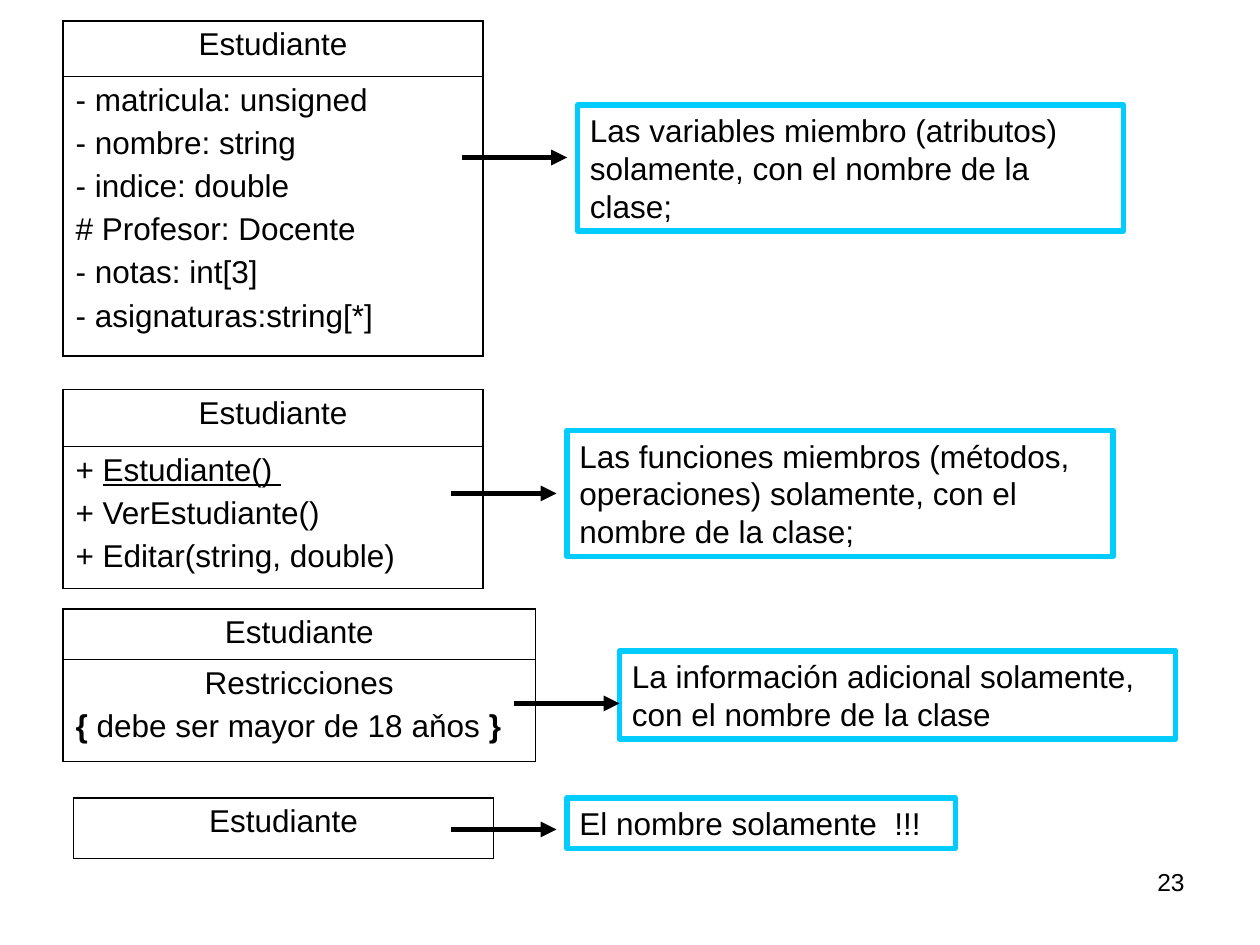
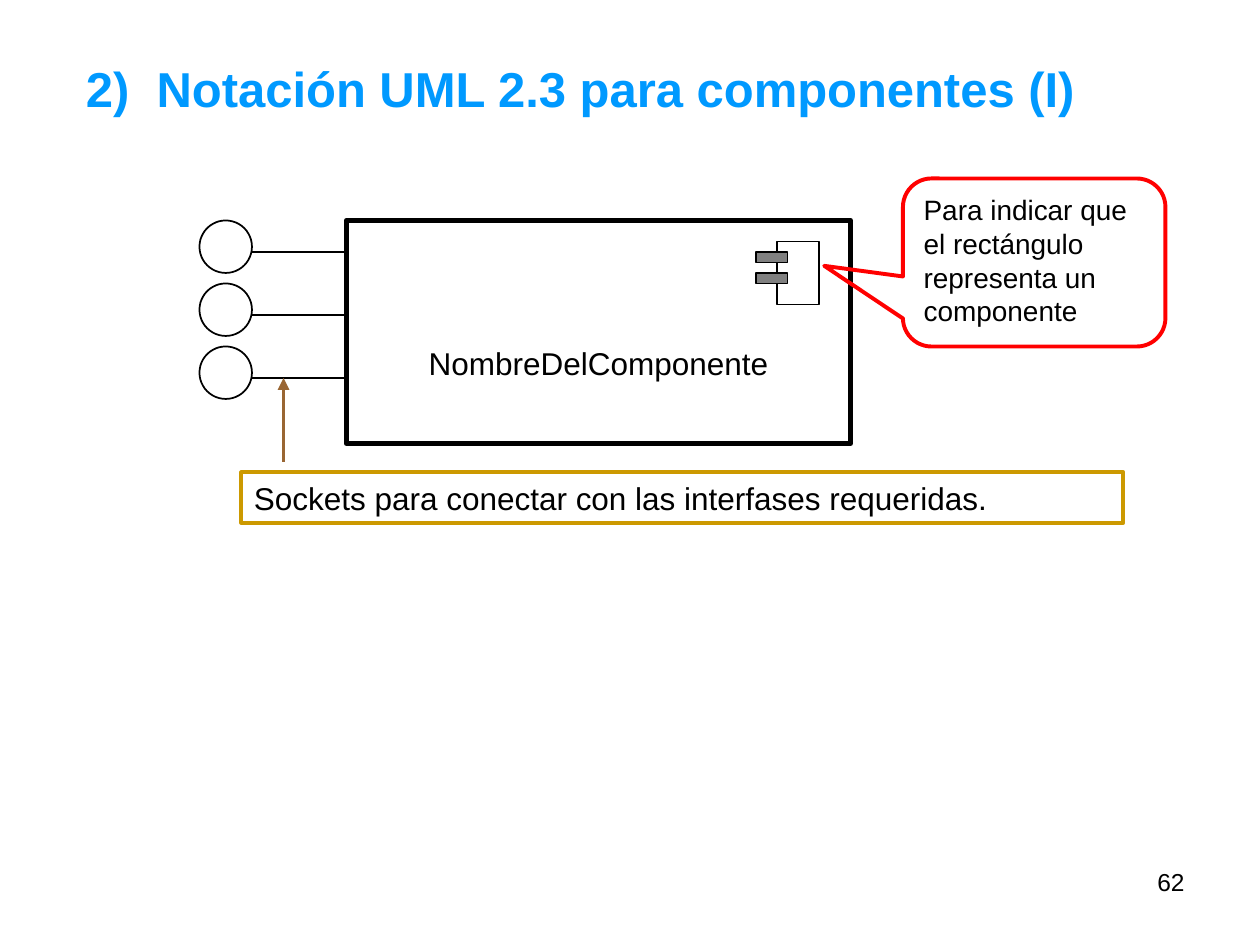
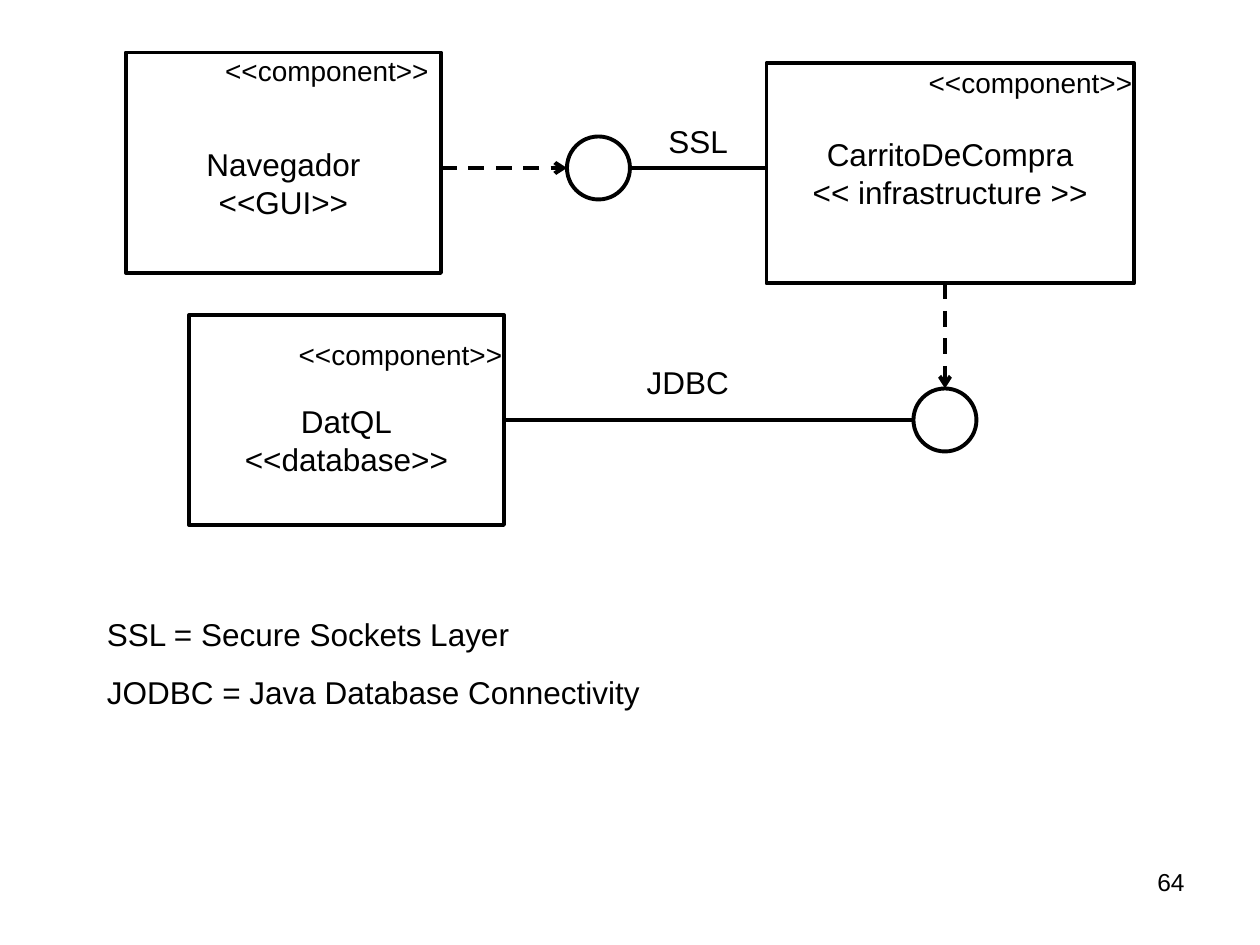
from lxml import etree
from pptx import Presentation
from pptx.dml.color import RGBColor
from pptx.enum.dml import MSO_LINE
from pptx.enum.shapes import MSO_CONNECTOR, MSO_SHAPE
from pptx.enum.text import MSO_ANCHOR, PP_ALIGN
from pptx.oxml.ns import qn
from pptx.util import Inches, Pt

BLACK = RGBColor(0x00, 0x00, 0x00)
GRAY = RGBColor(0x80, 0x80, 0x80)
BLUE = RGBColor(0x00, 0x99, 0xFF)
CYAN = RGBColor(0x00, 0xCC, 0xFF)
RED = RGBColor(0xFF, 0x00, 0x00)
BROWN = RGBColor(0x99, 0x66, 0x33)
GOLD = RGBColor(0xCC, 0x99, 0x00)

LEFT, MID, RIGHT = PP_ALIGN.LEFT, PP_ALIGN.CENTER, PP_ALIGN.RIGHT
TOP, MIDDLE = MSO_ANCHOR.TOP, MSO_ANCHOR.MIDDLE
RECT, OVAL = MSO_SHAPE.RECTANGLE, MSO_SHAPE.OVAL
BUBBLE = MSO_SHAPE.ROUNDED_RECTANGULAR_CALLOUT
STRAIGHT, DASH = MSO_CONNECTOR.STRAIGHT, MSO_LINE.DASH

FONT = "Arial"
COLS, ROWS = 120, 90
THICK, BOLD, THIN, HAIR = 3, 2.24, 0.99, 0.74
EDGE, RULE = 1.08, 0.45


class Deck:
    def __init__(self):
        self.show = Presentation()
        self.show.slide_width = Inches(10)
        self.show.slide_height = Inches(7.5)
        self.slide = None

    def x(self, cols):
        return round(self.show.slide_width * cols / COLS)

    def y(self, rows):
        return round(self.show.slide_height * rows / ROWS)

    def place(self, left, top, width, height):
        return self.x(left), self.y(top), self.x(width), self.y(height)

    def page(self, number):
        self.slide = self.show.slides.add_slide(self.show.slide_layouts[6])
        self.text((86, 82, 28, 6.24), [str(number)], 14, align=RIGHT)

    def put(self, frame, lines, size=18, color=BLACK, bold=None,
            align=LEFT, gap=0):
        for i, line in enumerate(lines):
            para = frame.add_paragraph() if i else frame.paragraphs[0]
            para.alignment = align
            para.space_before = Pt(gap)
            para.font.name = FONT
            para.font.size = Pt(size)
            para.font.color.rgb = color
            para.font.bold = bold
            parts = [(line, "")] if isinstance(line, str) else line
            for words, mark in parts:
                run = para.add_run()
                run.text = words
                if mark == "u":
                    run.font.underline = True
                if mark == "b":
                    run.font.bold = True

    def text(self, area, lines, size=18, **style):
        frame = self.slide.shapes.add_textbox(*self.place(*area)).text_frame
        frame.word_wrap = True
        self.put(frame, lines, size, **style)

    def shape(self, kind, area, width, color=BLACK, fill=None):
        item = self.slide.shapes.add_shape(kind, *self.place(*area))
        item.shadow.inherit = False
        if fill is None:
            item.fill.background()
        else:
            item.fill.solid()
            item.fill.fore_color.rgb = fill
        item.line.color.rgb = color
        item.line.width = Pt(width)
        return item

    def box(self, area, lines, width, color=BLACK, kind=RECT, size=18,
            align=LEFT, anchor=TOP, lead=0.6, wrap=True):
        item = self.shape(kind, area, width, color)
        frame = item.text_frame
        frame.word_wrap = wrap
        frame.vertical_anchor = anchor
        frame.margin_top = self.y(lead)
        self.put(frame, lines, size, align=align)
        return item

    def line(self, start, end, width, color=BLACK, head=None, dash=None):
        item = self.slide.shapes.add_connector(
            STRAIGHT, self.x(start[0]), self.y(start[1]),
            self.x(end[0]), self.y(end[1]))
        item.line.color.rgb = color
        item.line.width = Pt(width)
        if dash:
            item.line.dash_style = dash
        if head:
            stroke = item.line._get_or_add_ln()
            etree.SubElement(stroke, qn("a:tailEnd"), type=head)
        etree.SubElement(item._element.spPr, qn("a:effectLst"))

    def frame(self, cell, first, last):
        sides = {"L": EDGE, "R": EDGE, "T": EDGE if first else RULE,
                 "B": EDGE if last else RULE}
        props = cell._tc.get_or_add_tcPr()
        for side, width in sides.items():
            edge = etree.SubElement(props, qn("a:ln" + side),
                                    w=str(int(Pt(width))))
            paint = etree.SubElement(edge, qn("a:solidFill"))
            etree.SubElement(paint, qn("a:srgbClr"), val=str(BLACK))

    def table(self, left, top, width, cells):
        total = sum(height for height, _ in cells)
        grid = self.slide.shapes.add_table(
            len(cells), 1, *self.place(left, top, width, total)).table
        grid.first_row = grid.horz_banding = False
        for i, (height, lines) in enumerate(cells):
            grid.rows[i].height = self.y(height)
            cell = grid.cell(i, 0)
            self.frame(cell, i == 0, i == len(cells) - 1)
            cell.fill.background()
            cell.margin_left = cell.margin_right = Inches(0.1)
            cell.margin_top = cell.margin_bottom = Inches(0.05)
            self.put(cell.text_frame, lines, gap=4.5,
                     align=LEFT if i else MID)
        return grid


deck = Deck()

deck.page(23)
NAME = ["Estudiante"]
deck.table(6, 2, 40, [(5.28, NAME), (26.64, [
    "- matricula: unsigned", "- nombre: string", "- indice: double",
    "# Profesor: Docente", "- notas: int[3]", "- asignaturas:string[*]"])])
deck.table(6, 37.1, 40, [(5.4, NAME), (13.56, [
    [("+ ", ""), ("Estudiante() ", "u")],
    "+ VerEstudiante()", "+ Editar(string, double)"])])
limits = deck.table(6, 58, 45, [(4.8, NAME), (9.72, [
    "Restricciones",
    [("{", "b"), (" debe ser mayor de 18 aňos ", ""), ("}", "b")]])])
limits.cell(1, 0).text_frame.paragraphs[0].alignment = MID
deck.table(7, 76, 40, [(5.76, NAME)])

NOTES = [
    ((55, 10, 52, 12), (44, 15), "Las variables miembro (atributos) "
     "solamente, con el nombre de la clase;"),
    ((54, 41, 52, 12), (43, 47), "Las funciones miembros (métodos, "
     "operaciones) solamente, con el nombre de la clase;"),
    ((59, 62, 53, 8.4), (49, 67), "La información adicional solamente, "
     "con el nombre de la clase"),
    ((54, 76, 37, 4.8), (43, 79), "El nombre solamente  !!!"),
]
for area, (col, row), words in NOTES:
    deck.box(area, [words], THICK, CYAN)
    deck.line((col, row), (col + 10, row), THICK, head="triangle")

deck.page(62)
deck.text((7, 5, 105, 6.84), ["2)  Notación UML 2.3 para componentes (I)"],
          28, color=BLUE, bold=True)
deck.box((33, 21, 48, 21.24), ["NombreDelComponente"], THICK,
         align=MID, lead=11.8)
for i in range(3):
    deck.line((33, 24 + 6 * i), (24, 24 + 6 * i), HAIR)
    deck.shape(OVAL, (19, 21 + 6 * i, 5, 5), THIN)
deck.line((27, 44), (27, 36), BOLD, BROWN, "triangle")
deck.box((23, 45, 84, 4.8),
         ["Sockets para conectar con las interfases requeridas."], BOLD, GOLD)
deck.shape(RECT, (74, 23, 4, 6), THIN)
for row in (24, 26):
    deck.shape(RECT, (72, row, 3, 1), HAIR, fill=GRAY)
bubble = deck.box(
    (86, 17, 25, 16),
    ["Para indicar que el rectángulo representa un componente"],
    BOLD, RED, BUBBLE, 16)
for i, value in enumerate((-0.8, 0.02, 0.17)):
    bubble.adjustments[i] = value

deck.page(64)
PARTS = [
    ((12, 5, 30, 21), ["Navegador", "<<GUI>>"], 4.4, (20, 4.56)),
    ((18, 30, 30, 20), ["DatQL", "<<database>>"], 4.4, (27, 31.56)),
    ((73, 6, 35, 21), ["CarritoDeCompra", "<< infrastructure >>"], 0.6,
     (87, 5.64)),
]
for area, lines, lead, (col, row) in PARTS:
    deck.box(area, lines, BOLD, align=MID, anchor=MIDDLE, lead=lead,
             wrap=False)
    deck.text((col, row, 22, 4.44), ["<<component>>"], 16, align=RIGHT)

LINKS = [
    ("JDBC", (60, 34), (87, 37), (48, 40), (87, 40), (90, 27), (90, 37)),
    ("SSL", (61, 11), (54, 13), (73, 16), (60, 16), (42, 16), (54, 16)),
]
for label, spot, ring, start, end, tail, tip in LINKS:
    deck.line(start, end, BOLD)
    deck.shape(OVAL, (*ring, 6, 6), BOLD)
    deck.text((*spot, 11, 4.8), [label], align=MID)
    deck.line(tail, tip, BOLD, head="arrow", dash=DASH)
deck.text((9, 58, 69, 10.32), ["SSL = Secure Sockets Layer",
                               "JODBC = Java Database Connectivity"], gap=11.2)

deck.show.save("out.pptx")
